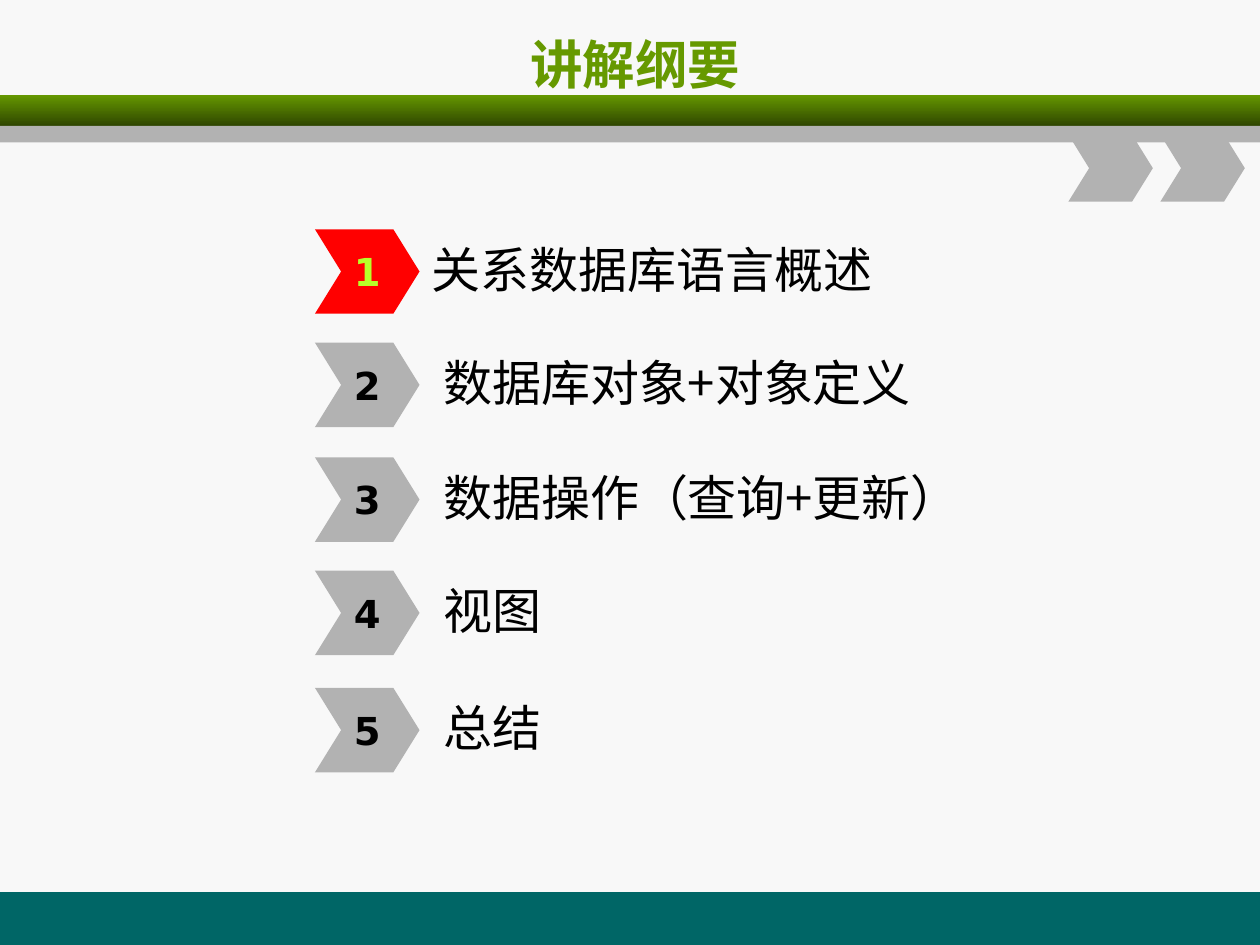
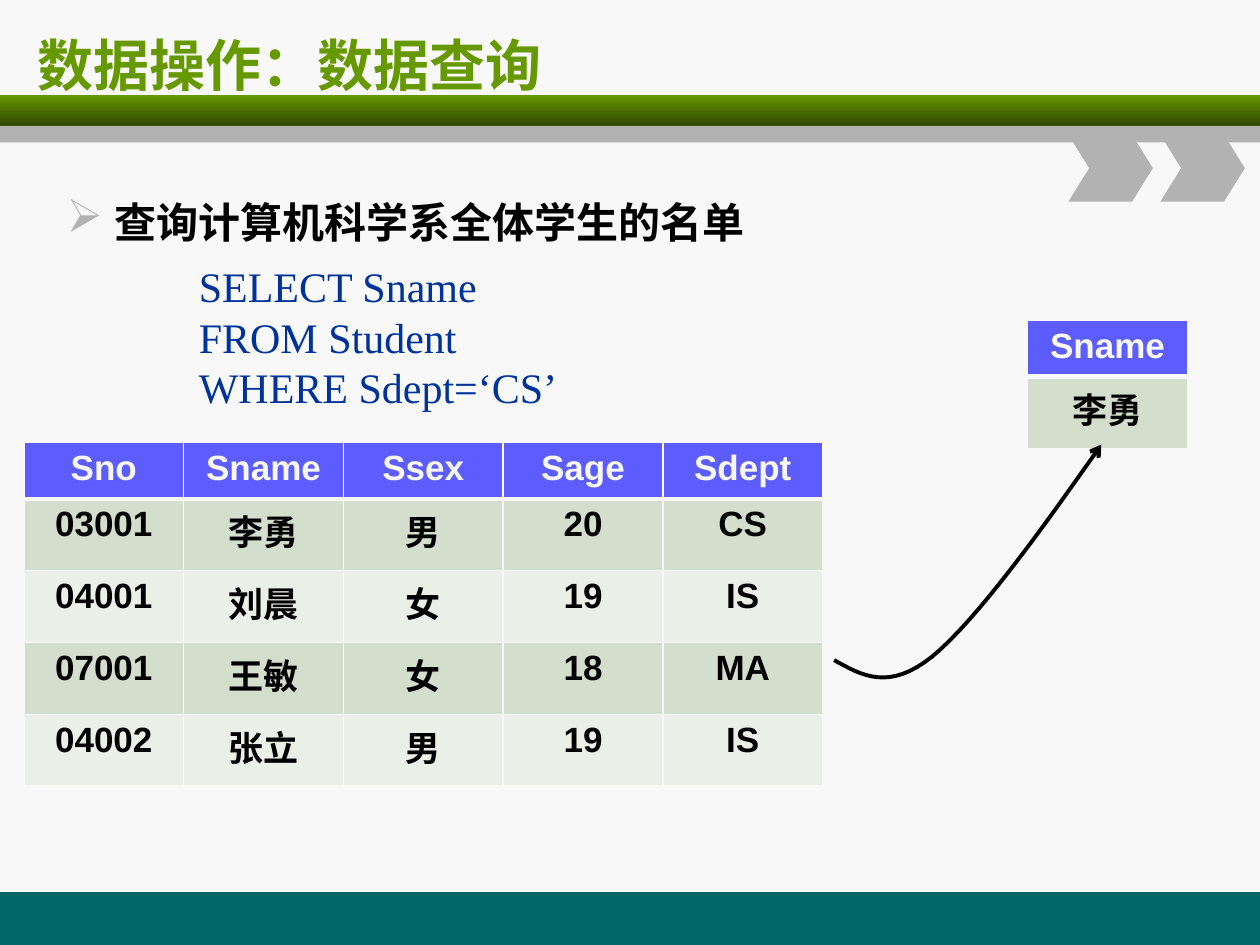
"""Build two database-course slides: the outline and a data query example."""
from dataclasses import dataclass
from typing import Any, NamedTuple

import lxml.etree
import pptx
import pptx.dml.color
import pptx.enum.shapes
import pptx.enum.text
import pptx.oxml.ns
import pptx.util

Inches = pptx.util.Inches
Pt = pptx.util.Pt
SHAPES = pptx.enum.shapes.MSO_SHAPE
ALIGN = pptx.enum.text.PP_ALIGN
ANCHOR = pptx.enum.text.MSO_ANCHOR
qn = pptx.oxml.ns.qn


@dataclass(frozen=True)
class Theme:
    paper: str = "F8F8F8"
    green: str = "669900"
    dark_green: str = "2F4600"
    teal: str = "006666"
    grey: str = "B2B2B2"
    red: str = "FF0000"
    lime: str = "B8FF29"
    ink: str = "000000"
    navy: str = "003399"
    header: str = "5C5CFF"
    row_bands: tuple[str, str] = ("D3DECC", "EAEFE7")
    east_asian: str = "Noto Sans CJK SC"
    sans: str = "DejaVu Sans"
    outline_title: int = 30
    query_title: int = 32
    topic: int = 28
    number: int = 22
    body: int = 24
    cell: int = 20


THEME = Theme()


class Box(NamedTuple):
    left: float
    top: float
    width: float
    height: float

    def lengths(self) -> list[int]:
        return [Inches(side) for side in self]


class TextStyle(NamedTuple):
    size: int
    font: str
    color: str
    bold: bool = False


class Topic(NamedTuple):
    text: str
    top: float
    fill: str = THEME.grey
    number_color: str = THEME.ink
    indent: float = 0.09


TOPICS = [
    Topic("关系数据库语言概述", 1.82, THEME.red, THEME.lime, 0),
    Topic("数据库对象+对象定义", 2.72),
    Topic("数据操作（查询+更新）", 3.63),
    Topic("视图", 4.53),
    Topic("总结", 5.46),
]
STUDENTS = [
    ["Sno", "Sname", "Ssex", "Sage", "Sdept"],
    ["03001", "李勇", "男", "20", "CS"],
    ["04001", "刘晨", "女", "19", "IS"],
    ["07001", "王敏", "女", "18", "MA"],
    ["04002", "张立", "男", "19", "IS"],
]
QUERY_RESULT = [["Sname"], ["李勇"]]
QUERY = ["SELECT Sname", "FROM Student", "WHERE Sdept=‘CS’"]
RESULT_CURVES = [
    [(6.62, 5.24), (6.84, 5.36), (7.05, 5.49), (7.4, 5.21)],
    [(7.4, 5.21), (7.75, 4.92), (8.25, 4.23), (8.74, 3.53)],
]


def rgb(color: str) -> pptx.dml.color.RGBColor:
    return pptx.dml.color.RGBColor.from_string(color)


def set_all(target: Any, formats: dict[str, Any]) -> None:
    for attribute, value in formats.items():
        setattr(target, attribute, value)


def sub(parent: Any, tag: str, **attributes: str) -> Any:
    return lxml.etree.SubElement(parent, qn(tag), attributes)


def write(paragraph: Any, text: str, style: TextStyle, align: Any = ALIGN.LEFT) -> None:
    paragraph.alignment = align
    run = paragraph.add_run()
    run.text = text
    run.font.color.rgb = rgb(style.color)
    set_all(run.font, {"size": Pt(style.size), "name": style.font, "bold": style.bold})
    sub(run.font._element, "a:ea", typeface=THEME.east_asian)


def set_indent(paragraph: Any, left: float, first: float = 0) -> Any:
    properties = paragraph._p.get_or_add_pPr()
    properties.set("marL", str(Inches(left)))
    properties.set("indent", str(Inches(first)))
    return properties


def add_text(slide: Any, box: Box, lines: list[str], style: TextStyle, *,
             align: Any = ALIGN.LEFT, anchor: Any = ANCHOR.MIDDLE, indent: float = 0) -> None:
    frame = slide.shapes.add_textbox(*box.lengths()).text_frame
    set_all(frame, {"word_wrap": True, "vertical_anchor": anchor})
    for index, line in enumerate(lines):
        paragraph = frame.add_paragraph() if index else frame.paragraphs[0]
        set_indent(paragraph, indent)
        write(paragraph, line, style, align)


def add_bullet(slide: Any, box: Box, text: str, style: TextStyle) -> None:
    frame = slide.shapes.add_textbox(*box.lengths()).text_frame
    frame.word_wrap = True
    paragraph = frame.paragraphs[0]
    properties = set_indent(paragraph, 0.38, -0.38)
    sub(sub(properties, "a:buClr"), "a:srgbClr", val=THEME.grey)
    sub(properties, "a:buSzPct", val="110000")
    sub(properties, "a:buChar", char="➢")
    write(paragraph, text, style)


def add_block(slide: Any, kind: Any, box: Box, fill: str) -> Any:
    block = slide.shapes.add_shape(kind, *box.lengths())
    block.shadow.inherit = False
    block.fill.solid()
    block.fill.fore_color.rgb = rgb(fill)
    block.line.fill.background()
    return block


def add_chevron(slide: Any, box: Box, fill: str) -> Any:
    chevron = add_block(slide, SHAPES.CHEVRON, box, fill)
    chevron.adjustments[0] = 0.31
    return chevron


def add_framed_slide(deck: Any) -> Any:
    slide = deck.slides.add_slide(deck.slide_layouts[6])
    slide.background.fill.solid()
    slide.background.fill.fore_color.rgb = rgb(THEME.paper)
    add_block(slide, SHAPES.RECTANGLE, Box(0, 7.08, 10, 0.42), THEME.teal)
    green_band = add_block(slide, SHAPES.RECTANGLE, Box(0, 0.75, 10, 0.25), THEME.green)
    green_band.fill.gradient()
    green_band.fill.gradient_angle = 270
    for stop, color in zip(green_band.fill.gradient_stops, (THEME.green, THEME.dark_green)):
        stop.color.rgb = rgb(color)
    add_block(slide, SHAPES.RECTANGLE, Box(0, 1, 10, 0.13), THEME.grey)
    for left in (8.48, 9.21):
        add_chevron(slide, Box(left, 1.07, 0.67, 0.53), THEME.grey)
    return slide


def set_borders(cell: Any, widths: dict[str, float]) -> None:
    properties = cell._tc.get_or_add_tcPr()
    for side, width in widths.items():
        border = sub(properties, f"a:ln{side}", w=str(Pt(width)))
        sub(sub(border, "a:solidFill"), "a:srgbClr", val=THEME.paper)


def add_records(slide: Any, box: Box, records: list[list[str]]) -> None:
    table = slide.shapes.add_table(len(records), len(records[0]), *box.lengths()).table
    set_all(table, {"first_row": False, "horz_banding": False})
    for row_index, record in enumerate(records):
        is_header = row_index == 0
        table.rows[row_index].height = Inches(0.45 if is_header else 0.57)
        fill = THEME.header if is_header else THEME.row_bands[(row_index - 1) % 2]
        style = TextStyle(THEME.cell, "Arial", THEME.paper if is_header else THEME.ink, True)
        widths = {"L": 1, "R": 1, "T": 3 if row_index == 1 else 1, "B": 3 if is_header else 1}
        for cell, value in zip(table.rows[row_index].cells, record):
            set_borders(cell, widths)
            cell.fill.solid()
            cell.fill.fore_color.rgb = rgb(fill)
            write(cell.text_frame.paragraphs[0], value, style, ALIGN.CENTER)


def bezier_point(controls: list[tuple[float, float]], t: float) -> tuple[int, int]:
    weights = ((1 - t) ** 3, 3 * t * (1 - t) ** 2, 3 * t ** 2 * (1 - t), t ** 3)
    x, y = (sum(w * c for w, c in zip(weights, axis)) for axis in zip(*controls))
    return Inches(x), Inches(y)


def add_result_arrow(slide: Any, steps: int = 16) -> None:
    start, *rest = [bezier_point(RESULT_CURVES[0], 0)] + [
        bezier_point(curve, step / steps)
        for curve in RESULT_CURVES for step in range(1, steps + 1)
    ]
    outline = slide.shapes.build_freeform(*start)
    outline.add_line_segments(rest, close=False)
    arrow = outline.convert_to_shape()
    arrow.shadow.inherit = False
    arrow.fill.background()
    arrow.line.color.rgb = rgb(THEME.ink)
    arrow.line.width = Pt(2.25)
    sub(arrow.line._get_or_add_ln(), "a:tailEnd", type="arrow")


def build_outline(deck: Any) -> None:
    slide = add_framed_slide(deck)
    add_text(slide, Box(0.54, 0.17, 9, 0.67), ["讲解纲要"],
             TextStyle(THEME.outline_title, THEME.east_asian, THEME.green, True),
             align=ALIGN.CENTER)
    topic_style = TextStyle(THEME.topic, THEME.east_asian, THEME.ink)
    for number, topic in enumerate(TOPICS, start=1):
        add_text(slide, Box(3.33, topic.top + 0.02, 5.92, 0.58), [topic.text], topic_style,
                 indent=topic.indent)
        chevron = add_chevron(slide, Box(2.5, topic.top, 0.83, 0.67), topic.fill)
        set_all(chevron.text_frame, {"word_wrap": False, "vertical_anchor": ANCHOR.MIDDLE})
        write(chevron.text_frame.paragraphs[0], str(number),
              TextStyle(THEME.number, THEME.sans, topic.number_color, True), ALIGN.CENTER)


def build_query(deck: Any) -> None:
    slide = add_framed_slide(deck)
    add_text(slide, Box(0.2, 0.17, 9.55, 0.67), ["数据操作：数据查询"],
             TextStyle(THEME.query_title, THEME.sans, THEME.green, True))
    add_bullet(slide, Box(0.43, 1.51, 8.5, 4.72), "查询计算机科学系全体学生的名单",
               TextStyle(THEME.body, THEME.sans, THEME.ink, True))
    add_text(slide, Box(0.98, 2.02, 5.36, 1.31), QUERY,
             TextStyle(THEME.body, "Times New Roman", THEME.navy),
             anchor=ANCHOR.TOP, indent=0.5)
    add_records(slide, Box(0.19, 3.51, 6.34, 2.72), STUDENTS)
    add_records(slide, Box(8.15, 2.54, 1.28, 1.01), QUERY_RESULT)
    add_result_arrow(slide)


def main() -> None:
    deck = pptx.Presentation()
    set_all(deck, {"slide_width": Inches(10), "slide_height": Inches(7.5)})
    build_outline(deck)
    build_query(deck)
    deck.save("out.pptx")


if __name__ == "__main__":
    main()
